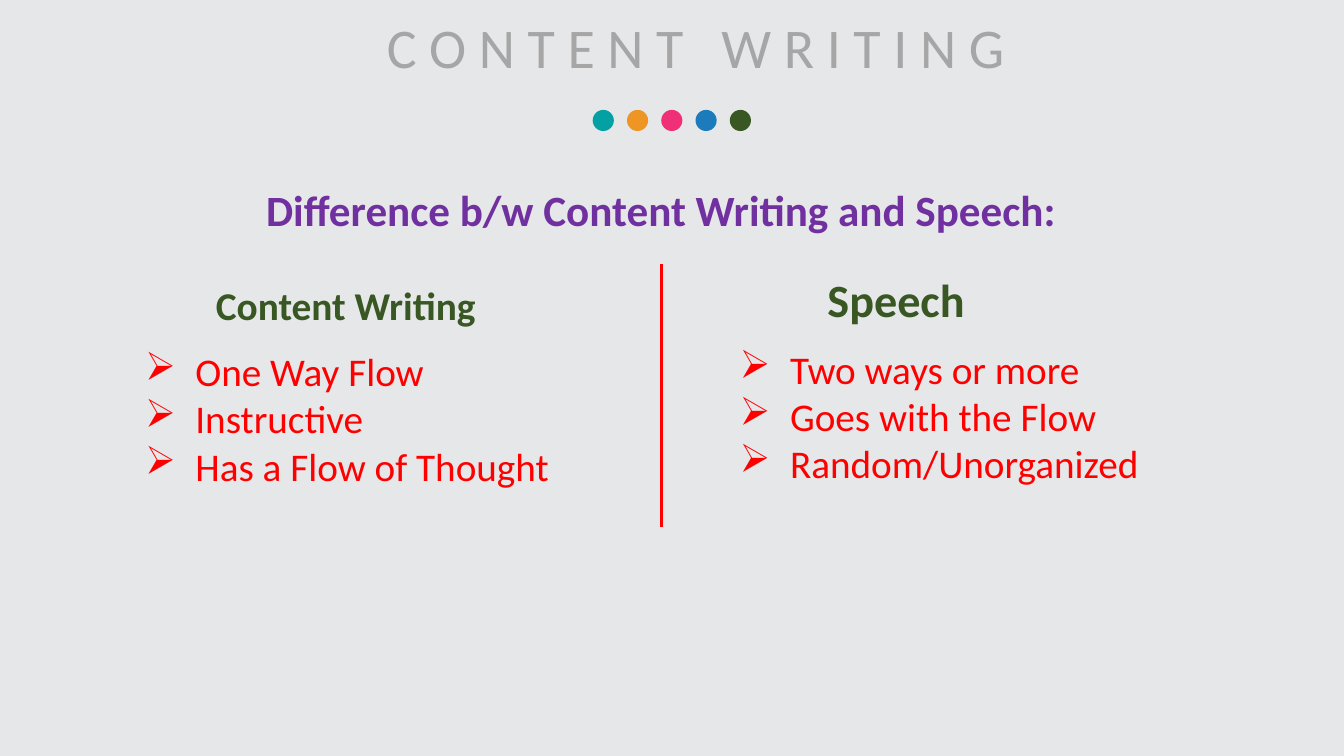
"""Build a slide that compares content writing with speech."""
from dataclasses import dataclass

from lxml.etree import SubElement
from pptx import Presentation
from pptx.dml.color import RGBColor
from pptx.enum.shapes import MSO_CONNECTOR, MSO_SHAPE
from pptx.enum.text import MSO_ANCHOR, MSO_AUTO_SIZE as AUTO, PP_ALIGN
from pptx.oxml.ns import qn
from pptx.util import Pt

FONT = "Calibri"
COLORS = {
    "background": "E6E7E9",
    "title": "A6A6A6",
    "heading": "7030A0",
    "green": "385723",
    "red": "FF0000",
    "teal": "03A1A4",
    "orange": "EE9524",
    "pink": "EF3078",
    "blue": "1C7CBB",
}
DOTS = ("teal", "orange", "pink", "blue", "green")
DOT_LEFT, DOT_TOP, DOT_SIZE, DOT_STEP = 423.36, 78.48, 15.12, 24.48
DIVIDER_X, DIVIDER_TOP, DIVIDER_BOTTOM = 472.32, 188.64, 376.56
WORD_GAP = 18
HANGING = 36


@dataclass
class Box:
    left: float
    top: float
    width: float
    height: float


@dataclass
class Heading:
    box: Box
    text: str
    size: float
    color: str
    line_spacing: float


@dataclass
class BulletList:
    box: Box
    items: tuple[str, ...]
    level: int
    indent: float


TITLE_BOX = Box(179.28, 5.76, 635.04, 55.44)
TITLE_WORDS = ("C O N T E N T", " ", "W R I T I N G")
HEADINGS = (
    Heading(Box(154.8, 109.44, 635.04, 61.2),
            "Difference b/w Content Writing and Speech:", 30.8, "heading", 0.7),
    Heading(Box(143.28, 188.64, 207.36, 48.96), "Content Writing", 28.1, "green", 0.8),
    Heading(Box(536.4, 188.64, 207.36, 48.96), "Speech", 33, "green", 0.9),
)
LISTS = (
    BulletList(Box(60.48, 244.8, 346.32, 108.72),
               ("One Way Flow", "Instructive", "Has a Flow of Thought"), 1, 72),
    BulletList(Box(521.28, 243.36, 367.92, 108.72),
               ("Two ways or more", "Goes with the Flow", "Random/Unorganized"), 0, 36),
)


def rgb(name: str) -> RGBColor:
    return RGBColor.from_string(COLORS[name])


def add_text_frame(slide, box: Box, auto_size: AUTO):
    sp = slide.shapes.add_textbox(Pt(box.left), Pt(box.top), Pt(box.width), Pt(box.height))
    tf = sp.text_frame
    tf.word_wrap = True
    tf.auto_size = auto_size
    return tf


def format_runs(p, size: float, color: str, bold: bool = False) -> None:
    for r in p.runs:
        r.font.name = FONT
        r.font.size = Pt(size)
        r.font.bold = bold
        r.font.color.rgb = rgb(color)


def add_title(slide) -> None:
    p = add_text_frame(slide, TITLE_BOX, AUTO.SHAPE_TO_FIT_TEXT).paragraphs[0]
    p.alignment = PP_ALIGN.CENTER
    for word in TITLE_WORDS:
        r = p.add_run()
        r.text = word
        if word == " ":
            r._r.get_or_add_rPr().set("spc", str(WORD_GAP * 100))
    format_runs(p, 40, "title")


def add_heading(slide, heading: Heading) -> None:
    tf = add_text_frame(slide, heading.box, AUTO.NONE)
    tf.vertical_anchor = MSO_ANCHOR.BOTTOM
    p = tf.paragraphs[0]
    p.text = heading.text
    p.alignment = PP_ALIGN.CENTER
    p.line_spacing = heading.line_spacing
    format_runs(p, heading.size, heading.color, bold=True)


def add_list(slide, bullets: BulletList) -> None:
    tf = add_text_frame(slide, bullets.box, AUTO.SHAPE_TO_FIT_TEXT)
    tf.text = "\n".join(bullets.items)
    for p in tf.paragraphs:
        p.level = bullets.level
        pPr = p._p.get_or_add_pPr()
        pPr.set("marL", str(Pt(bullets.indent)))
        pPr.set("indent", str(-Pt(HANGING)))
        SubElement(pPr, qn("a:buChar")).set("char", "➢")
        format_runs(p, 28, "red")


def add_divider(slide) -> None:
    line = slide.shapes.add_connector(MSO_CONNECTOR.STRAIGHT, Pt(DIVIDER_X), Pt(DIVIDER_TOP),
                                      Pt(DIVIDER_X), Pt(DIVIDER_BOTTOM))
    line.line.color.rgb = rgb("red")
    line.line.width = Pt(2.25)
    SubElement(line._element.spPr, qn("a:effectLst"))


def add_dots(slide) -> None:
    group = slide.shapes.add_group_shape()
    for i, color in enumerate(DOTS):
        sp = group.shapes.add_shape(MSO_SHAPE.OVAL, Pt(DOT_LEFT + i * DOT_STEP), Pt(DOT_TOP),
                                    Pt(DOT_SIZE), Pt(DOT_SIZE))
        sp.shadow.inherit = False
        sp.fill.solid()
        sp.fill.fore_color.rgb = rgb(color)
        sp.line.fill.background()


def main() -> None:
    prs = Presentation()
    prs.slide_width, prs.slide_height = Pt(960), Pt(540)
    s = prs.slides.add_slide(prs.slide_layouts[6])
    s.background.fill.solid()
    s.background.fill.fore_color.rgb = rgb("background")
    for heading in HEADINGS:
        add_heading(s, heading)
    for bullets in LISTS:
        add_list(s, bullets)
    add_divider(s)
    add_title(s)
    add_dots(s)
    prs.save("out.pptx")


if __name__ == "__main__":
    main()
